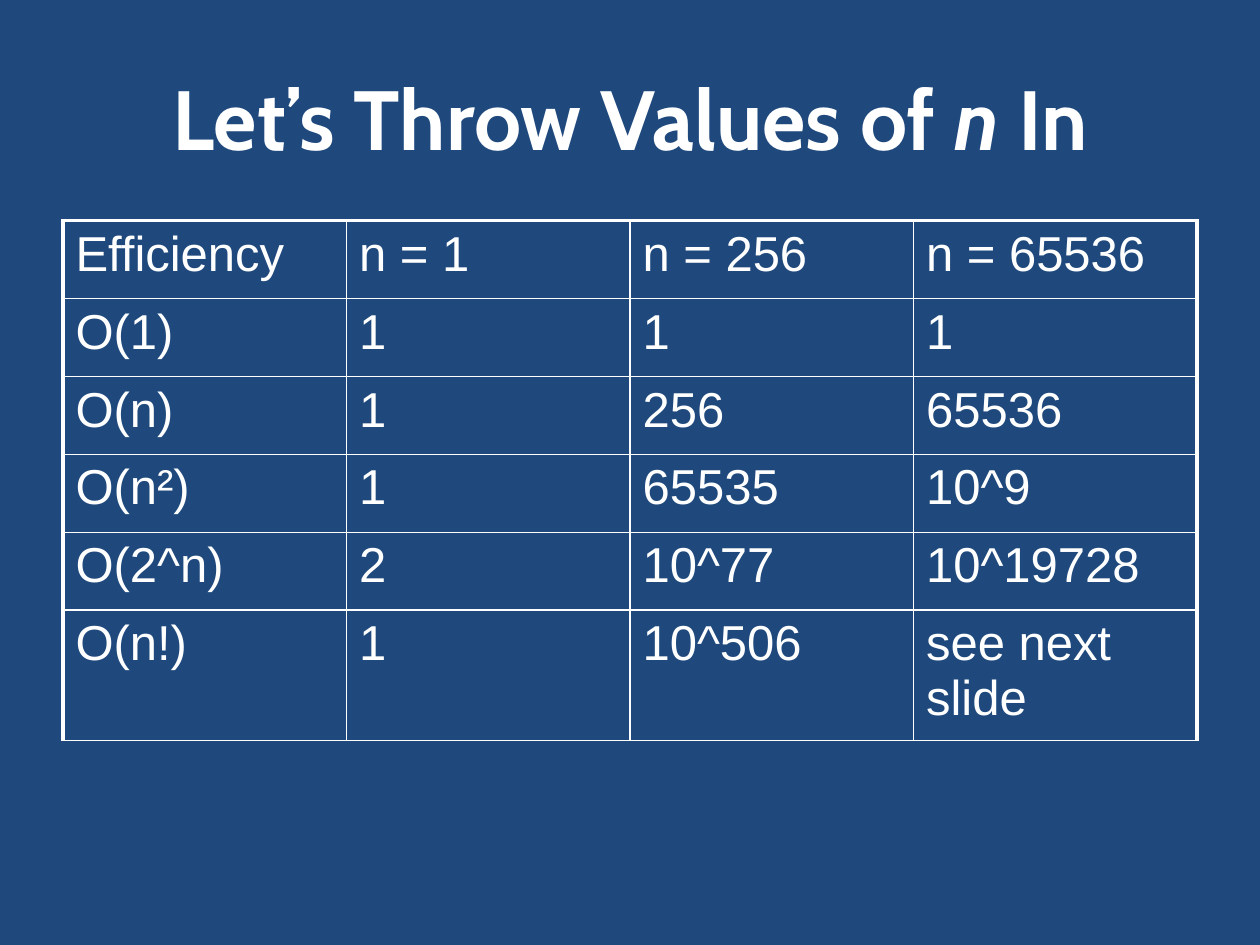
from lxml.etree import SubElement
from pptx import Presentation
from pptx.dml.color import RGBColor
from pptx.enum.text import MSO_ANCHOR as Anchor, PP_ALIGN as Align
from pptx.oxml.ns import qn
from pptx.util import Cm, Pt

NAVY, WHITE = "1F497D", "FFFFFF"
LEFT, WIDTH = 1.27, 22.86
ROW_HEIGHT = 1.57
THIN, THICK = 1, 2.25

ROWS = [
    ["Efficiency", "n = 1", "n = 256", "n = 65536"],
    ["O(1)", "1", "1", "1"],
    ["O(n)", "1", "256", "65536"],
    ["O(n²)", "1", "65535", "10^9"],
    ["O(2^n)", "2", "10^77", "10^19728"],
    ["O(n!)", "1", "10^506", "see next slide"],
]


def rgb(color):
    return RGBColor.from_string(color)


def add_run(p, text, font, size, bold=False, italic=False):
    r = p.add_run()
    r.text = text
    r.font.name, r.font.size = font, Pt(size)
    r.font.bold, r.font.italic = bold, italic
    r.font.color.rgb = rgb(WHITE)


def add_title(s):
    tf = s.shapes.add_textbox(Cm(LEFT), Cm(0.76), Cm(WIDTH), Cm(3.18)).text_frame
    tf.word_wrap = True
    tf.vertical_anchor = Anchor.MIDDLE
    p = tf.paragraphs[0]
    p.alignment = Align.CENTER
    for text, italic in [("Let’s Throw Values of ", False), ("n", True), (" In", False)]:
        add_run(p, text, "Cabin", 48, bold=True, italic=italic)


def set_borders(cell, widths):
    """Draw white borders, with widths in points for left, right, top and bottom."""
    tc_pr = cell._tc.get_or_add_tcPr()
    for side, width in zip("LRTB", widths):
        ln = SubElement(tc_pr, qn(f"a:ln{side}"), w=str(Pt(width)))
        fill = SubElement(ln, qn("a:solidFill"))
        SubElement(fill, qn("a:srgbClr"), val=WHITE)


def add_table(s):
    n_rows, n_cols = len(ROWS), len(ROWS[0])
    table = s.shapes.add_table(n_rows, n_cols, Cm(LEFT), Cm(4.45),
                               Cm(WIDTH), Cm(ROW_HEIGHT * n_rows)).table
    table.first_row = table.horz_banding = False
    for i, row in enumerate(ROWS):
        for j, text in enumerate(row):
            cell = table.cell(i, j)
            set_borders(cell, [THICK if j == 0 else THIN,
                               THICK if j == n_cols - 1 else THIN,
                               THICK if i == 0 else THIN,
                               THIN])
            cell.fill.background()
            add_run(cell.text_frame.paragraphs[0], text, "Arial", 28)


def main():
    prs = Presentation()
    prs.slide_width, prs.slide_height = Cm(25.4), Cm(19.05)
    s = prs.slides.add_slide(prs.slide_layouts[6])
    s.background.fill.solid()
    s.background.fill.fore_color.rgb = rgb(NAVY)
    add_title(s)
    add_table(s)
    prs.save("out.pptx")


if __name__ == "__main__":
    main()
